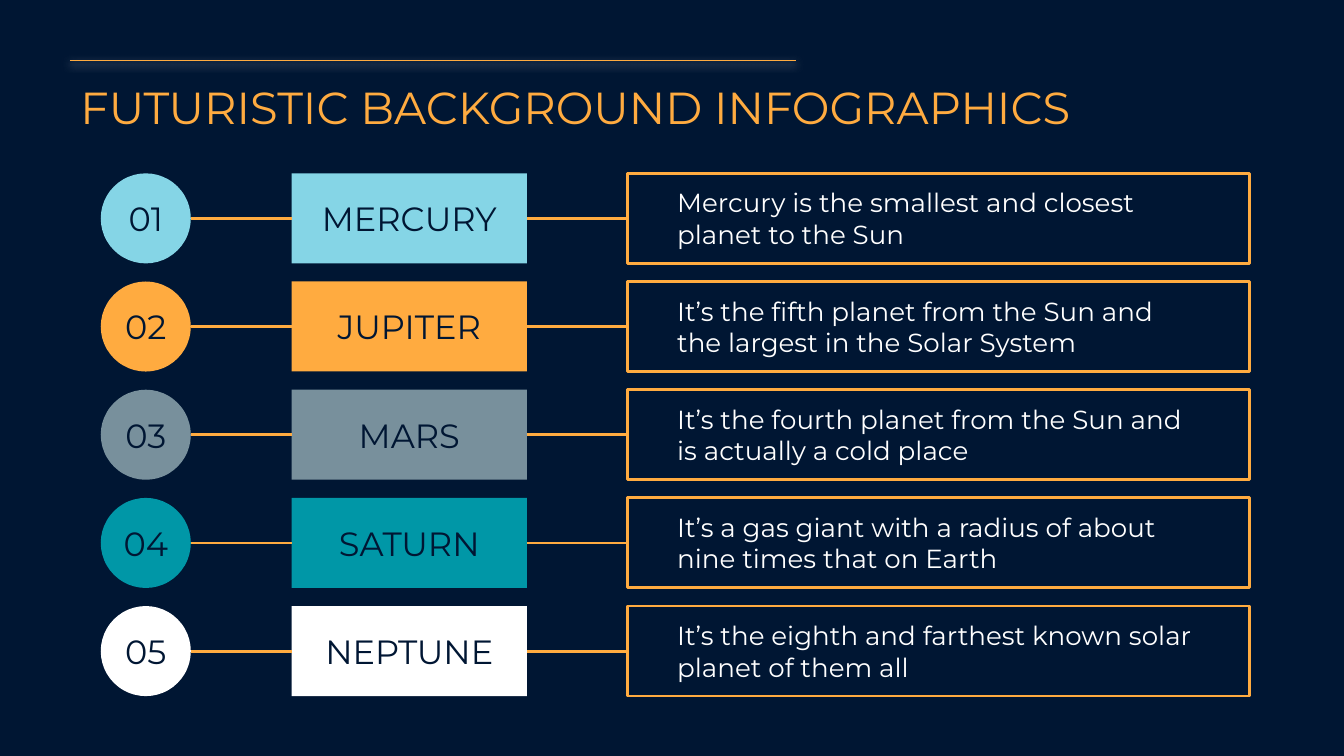
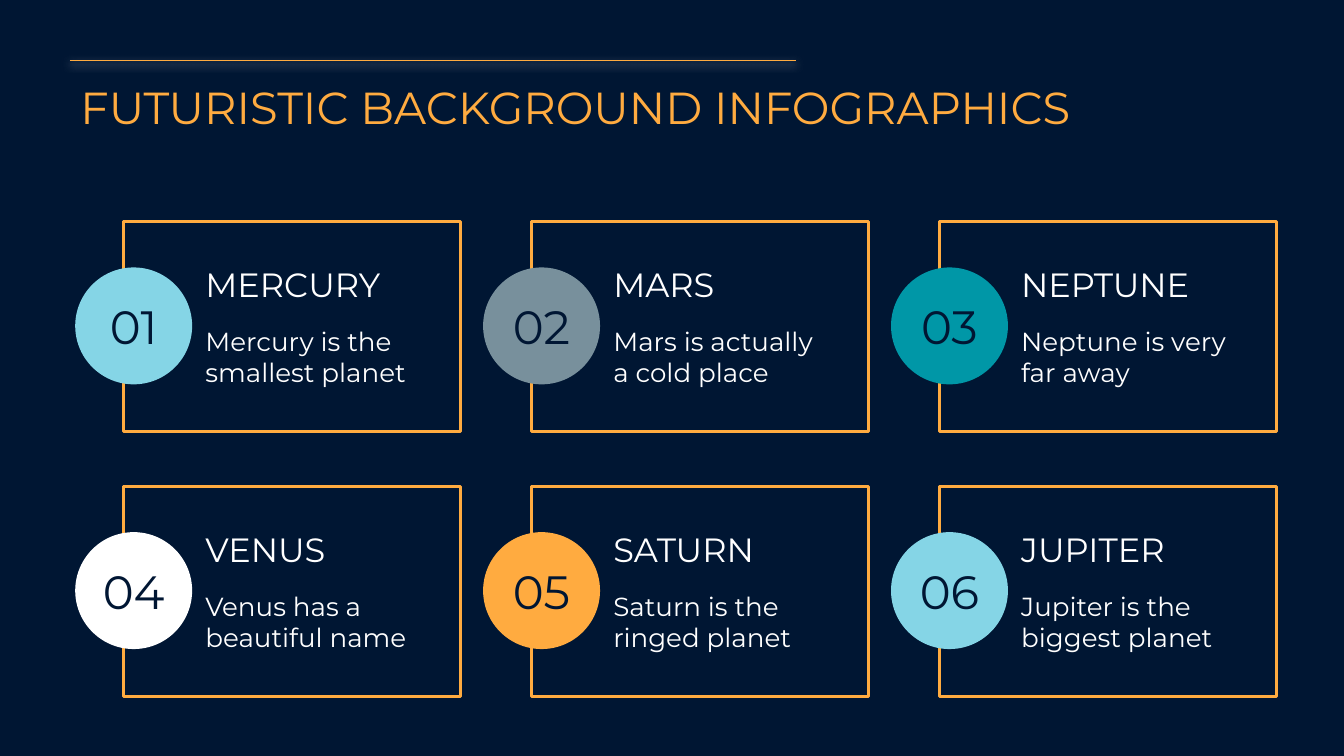
from lxml import etree
from pptx import Presentation
from pptx.dml.color import RGBColor
from pptx.enum.shapes import MSO_CONNECTOR, MSO_SHAPE
from pptx.enum.text import MSO_ANCHOR, PP_ALIGN
from pptx.oxml.ns import qn
from pptx.util import Inches, Pt

OVAL, RECTANGLE = MSO_SHAPE.OVAL, MSO_SHAPE.RECTANGLE
STRAIGHT = MSO_CONNECTOR.STRAIGHT
TOP, MIDDLE, BOTTOM = MSO_ANCHOR.TOP, MSO_ANCHOR.MIDDLE, MSO_ANCHOR.BOTTOM
LEFT, CENTER = PP_ALIGN.LEFT, PP_ALIGN.CENTER

NAVY, ORANGE, WHITE = "001633", "FFAB40", "FFFFFF"
SKY, GRAY, TEAL = "85D5E6", "78909C", "0097A7"
FONT = "Montserrat"
TITLE = "FUTURISTIC BACKGROUND INFOGRAPHICS"

# The grid has square cells: 100 columns by 56.25 rows
COLUMNS = 100
WIDTH, HEIGHT = Inches(10), Inches(5.625)
CELL = WIDTH // COLUMNS


def rgb(code):
    return RGBColor.from_string(code)


def cells(*counts):
    return [round(count * CELL) for count in counts]


class Deck:
    """Holds the shared style and the slide being drawn."""

    def __init__(self):
        self.prs = Presentation()
        self.prs.slide_width, self.prs.slide_height = WIDTH, HEIGHT
        self.slide = None

    def new_slide(self, title):
        self.slide = self.prs.slides.add_slide(self.prs.slide_layouts[6])
        background = self.slide.background.fill
        background.solid()
        background.fore_color.rgb = rgb(NAVY)
        self.line(5.2, 4.5, 59.2, 4.5, 0.75, glow=True)
        self.text(title, 5, 4.9, 87.5, 5.2, 24, ORANGE)

    def fill_text(self, frame, content, size, color, align, anchor, inset):
        frame.word_wrap = True
        frame.vertical_anchor = anchor
        frame.margin_left = frame.margin_right = inset
        frame.margin_top = frame.margin_bottom = inset
        paragraph = frame.paragraphs[0]
        paragraph.alignment = align
        run = paragraph.add_run()
        run.text = content
        run.font.name, run.font.size = FONT, Pt(size)
        run.font.color.rgb = rgb(color)

    def text(self, content, x, y, w, h, size, color=WHITE, anchor=TOP):
        box = self.slide.shapes.add_textbox(*cells(x, y, w, h))
        self.fill_text(box.text_frame, content, size, color, LEFT, anchor, CELL)

    def block(self, kind, content, x, y, w, h, size, fill):
        """A filled shape with a centred label."""
        shape = self.slide.shapes.add_shape(kind, *cells(x, y, w, h))
        shape.shadow.inherit = False
        shape.fill.solid()
        shape.fill.fore_color.rgb = rgb(fill)
        shape.line.fill.background()
        self.fill_text(shape.text_frame, content, size, NAVY, CENTER, MIDDLE, 0)

    def outline(self, x, y, w, h, weight):
        frame = self.slide.shapes.add_shape(RECTANGLE, *cells(x, y, w, h))
        frame.shadow.inherit = False
        frame.fill.background()
        frame.line.color.rgb = rgb(ORANGE)
        frame.line.width = Pt(weight)

    def line(self, x1, y1, x2, y2, weight, glow=False):
        rule = self.slide.shapes.add_connector(STRAIGHT, *cells(x1, y1, x2, y2))
        rule.line.color.rgb = rgb(ORANGE)
        rule.line.width = Pt(weight)
        effects = etree.SubElement(rule._element.spPr, qn("a:effectLst"))
        if glow:
            shadow = etree.SubElement(
                effects, qn("a:outerShdw"), blurRad=str(Pt(4.5)),
                dist=str(Pt(1.5)), dir="5400000", algn="bl", rotWithShape="0")
            tint = etree.SubElement(shadow, qn("a:srgbClr"), val=WHITE)
            etree.SubElement(tint, qn("a:alpha"), val="50000")


def planet_list(deck):
    planets = [
        ("MERCURY", SKY, "Mercury is the smallest and closest planet to the Sun"),
        ("JUPITER", ORANGE, "It’s the fifth planet from the Sun and the largest in the Solar System"),
        ("MARS", GRAY, "It’s the fourth planet from the Sun and is actually a cold place"),
        ("SATURN", TEAL, "It’s a gas giant with a radius of about nine times that on Earth"),
        ("NEPTUNE", WHITE, "It’s the eighth and farthest known solar planet of them all"),
    ]
    top, pitch, height = 12.9, 8.05, 6.7
    badge_x, name_x, name_w, fact_x, fact_w = 7.5, 21.7, 17.5, 46.7, 46.3
    deck.new_slide(TITLE)
    for index, (name, color, fact) in enumerate(planets):
        y = top + index * pitch
        middle = y + height / 2
        deck.block(OVAL, f"{index + 1:02}", badge_x, y, height, height, 18, color)
        deck.outline(fact_x, y, fact_w, height, 1.5)
        deck.block(RECTANGLE, name, name_x, y, name_w, height, 18, color)
        deck.line(badge_x + height, middle, name_x, middle, 1.5)
        deck.line(name_x + name_w, middle, fact_x, middle, 1.5)
        deck.text(fact, 49.4, y, 40.9, height, 14)


def planet_cards(deck):
    planets = [
        ("MERCURY", SKY, "Mercury is the smallest planet"),
        ("MARS", GRAY, "Mars is actually a cold place"),
        ("NEPTUNE", TEAL, "Neptune is very far away"),
        ("VENUS", WHITE, "Venus has a beautiful name"),
        ("SATURN", ORANGE, "Saturn is the ringed planet"),
        ("JUPITER", SKY, "Jupiter is the biggest planet"),
    ]
    left, top, pitch_x, pitch_y = 9.2, 16.5, 30.35, 19.7
    badge = 8.7
    deck.new_slide(TITLE)
    for index, (name, color, fact) in enumerate(planets):
        row, column = divmod(index, 3)
        x, y = left + column * pitch_x, top + row * pitch_y
        deck.outline(x, y, 25.1, 15.6, 1.6)
        deck.block(OVAL, f"{index + 1:02}", x - 3.6, y + 3.4, badge, badge, 25, color)
        deck.text(name, x + 5.1, y + 1.15, 18, 6, 18, anchor=BOTTOM)
        deck.text(fact, x + 5.1, y + 6.7, 18, 7, 14)


def main():
    deck = Deck()
    planet_list(deck)
    planet_cards(deck)
    deck.prs.save("out.pptx")


if __name__ == "__main__":
    main()
